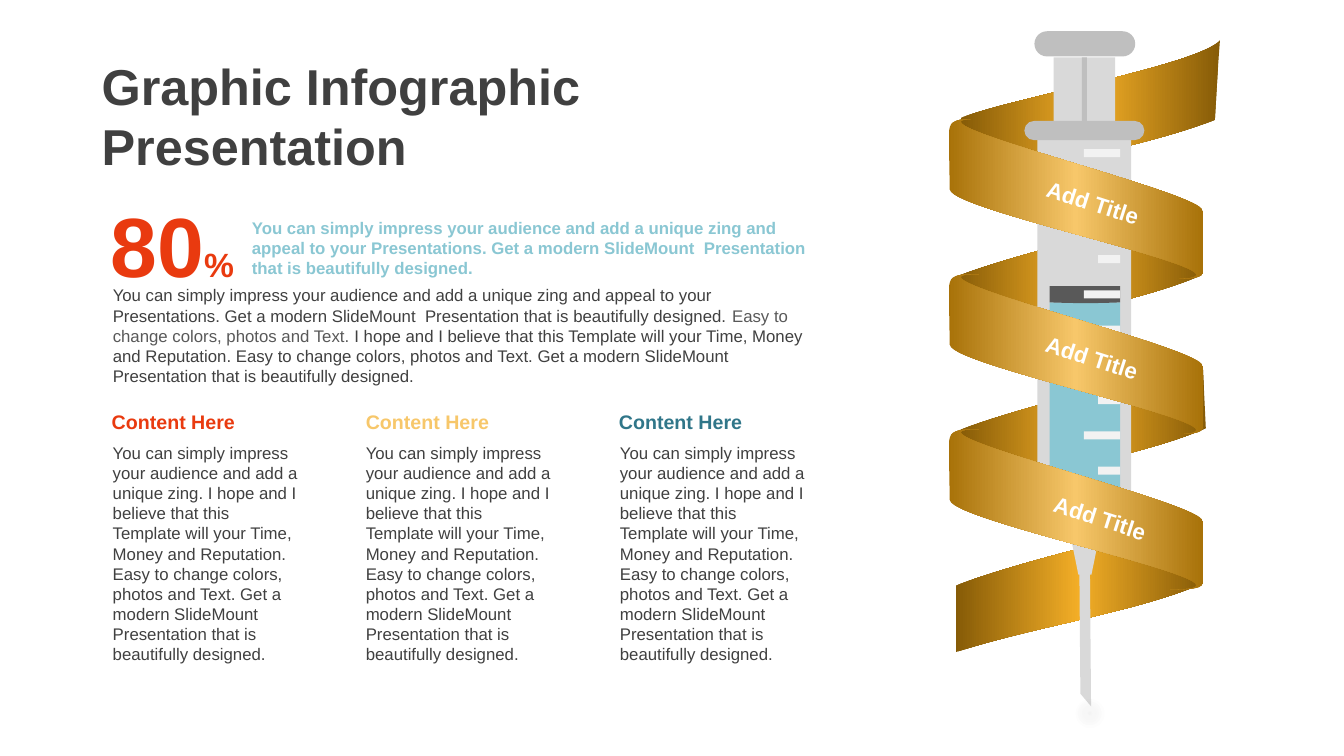
from pptx import Presentation
from pptx.dml.color import RGBColor
from pptx.enum.shapes import MSO_SHAPE
from pptx.enum.text import MSO_ANCHOR, MSO_AUTO_SIZE, PP_ALIGN
from pptx.oxml import parse_xml
from pptx.oxml.ns import nsdecls, qn
from pptx.util import Inches, Pt
from copy import deepcopy
from lxml import etree

WHITE = RGBColor(0xFF, 0xFF, 0xFF)
BLACK = RGBColor(0x00, 0x00, 0x00)
DARK = RGBColor(0x40, 0x40, 0x40)
GRAY = RGBColor(0x59, 0x59, 0x59)
SILVER = RGBColor(0xBF, 0xBF, 0xBF)
LIGHT = RGBColor(0xD9, 0xD9, 0xD9)
MARK = RGBColor(0xF2, 0xF2, 0xF2)
RED = RGBColor(0xE9, 0x3A, 0x0F)
AQUA = RGBColor(0x8A, 0xC7, 0xD3)
TEAL = RGBColor(0x30, 0x76, 0x89)
GOLD = RGBColor(0xF7, 0xC7, 0x6A)
BRONZE = RGBColor(0xA8, 0x72, 0x09)
AMBER = RGBColor(0xF3, 0xAE, 0x27)
BROWN = RGBColor(0x86, 0x5B, 0x07)

prs = Presentation()
prs.slide_width, prs.slide_height = Inches(13.33), Inches(7.5)
s = prs.slides.add_slide(prs.slide_layouts[6])


def add_outline(box, start, segments, edge, middle=None, dx=0, dy=0):
    left, top, right, bottom = box
    fb = s.shapes.build_freeform(Inches(left + dx), Inches(top + dy))
    fb.add_line_segments([(Inches(right + dx), Inches(top + dy)),
                          (Inches(right + dx), Inches(bottom + dy))], close=True)
    sp = fb.convert_to_shape()
    outline = next(sp._element.iter(qn("a:path")))
    for child in list(outline):
        outline.remove(child)
    for i, seg in enumerate([start, *segments]):
        tag = "a:moveTo" if i == 0 else "a:lnTo" if len(seg) == 2 else "a:cubicBezTo"
        step = etree.SubElement(outline, qn(tag))
        for x, y in zip(seg[::2], seg[1::2]):
            etree.SubElement(step, qn("a:pt"), x=str(Inches(x - left)), y=str(Inches(y - top)))
    etree.SubElement(outline, qn("a:close"))
    sp.shadow.inherit = False
    sp.line.fill.background()
    if middle is None:
        sp.fill.solid()
        sp.fill.fore_color.rgb = edge
        return
    sp.fill.gradient()
    sp.fill.gradient_angle = 0
    stops = next(sp._element.iter(qn("a:gsLst")))
    stops.insert(1, deepcopy(stops[0]))
    for stop, pos, color in zip(sp.fill.gradient_stops, (0, 0.5, 1), (edge, middle, edge)):
        stop.position = pos
        stop.color.rgb = color


def add_text(x, y, w, h, paragraphs, bold=False, align=PP_ALIGN.LEFT,
             anchor=MSO_ANCHOR.TOP, grow=True):
    box = s.shapes.add_textbox(Inches(x), Inches(y), Inches(w), Inches(h))
    tf = box.text_frame
    tf.word_wrap = True
    tf.vertical_anchor = anchor
    tf.auto_size = MSO_AUTO_SIZE.SHAPE_TO_FIT_TEXT if grow else MSO_AUTO_SIZE.NONE
    for i, runs in enumerate(paragraphs):
        p = tf.add_paragraph() if i else tf.paragraphs[0]
        p.alignment = align
        for text, size, color in runs:
            r = p.add_run()
            r.text = text
            r.font.name = "Arial"
            r.font.size = Pt(size)
            r.font.bold = bold
            r.font.color.rgb = color
    return box


back_ribbon = [(11.24, 6.08, 10.27, 6.21, 9.48, 6.47), (9.48, 5.81),
               (10.03, 5.6, 11.18, 5.31, 11.9, 5.17)]
top_ribbon = [(11.24, 1.49, 10.38, 1.6, 9.53, 1.83), (9.53, 1.17),
              (10.08, 0.96, 11.88, 0.65, 12.1, 0.4),
              (12.08, 0.65, 12.07, 0.85, 12.05, 1.19)]
add_outline((9.53, 0.4, 12.1, 1.83), (12.05, 1.19), top_ribbon, BROWN, AMBER)
for dx, dy in [(0, 0), (0.03, -1.54), (-0.01, -3.06)]:
    add_outline((9.48, 5.17, 11.93, 6.47), (11.93, 5.79), back_ribbon, BROWN, AMBER, dx, dy)

for left, top, right, bottom, low, c1, c2, color in [
    (10.29, 1.39, 11.22, 5.08, 5.18, (10.85, 5.2), (10.66, 5.22), LIGHT),
    (10.41, 3, 11.11, 4.93, 4.97, (10.87, 4.99), (10.68, 4.99), AQUA),
    (10.41, 2.84, 11.11, 3, 3.01, (10.87, 3.01), (10.68, 3.01), GRAY),
]:
    add_outline((left, top, right, low), (left, top),
                [(right, top), (right, bottom), (*c1, *c2, left, bottom)], color)

parts = [
    (MSO_SHAPE.DIAGONAL_STRIPE, 10.32, 5.63, 0.99, 1.2, LIGHT, 320, 0.863),
    (MSO_SHAPE.ROUNDED_RECTANGLE, 10.26, 0.31, 1, 0.25, SILVER, 0, 0.5),
    (MSO_SHAPE.RECTANGLE, 10.45, 0.57, 0.61, 0.68, LIGHT, 0, None),
    (MSO_SHAPE.RECTANGLE, 10.63, 5.15, 0.26, 0.25, LIGHT, 0, None),
    (MSO_SHAPE.TRAPEZOID, 10.63, 5.38, 0.26, 0.32, LIGHT, 180, None),
    (MSO_SHAPE.ROUNDED_RECTANGLE, 10.16, 1.2, 1.19, 0.19, SILVER, 0, 0.5),
    (MSO_SHAPE.RECTANGLE, 10.73, 0.57, 0.05, 0.68, SILVER, 0, None),
]
for i in range(10):
    w = 0.22 if i % 2 else 0.36
    parts.append((MSO_SHAPE.RECTANGLE, 11.11 - w, 1.48 + 0.35 * i, w, 0.08, MARK, 0, None))
for kind, x, y, w, h, color, rotation, adj in parts:
    sp = s.shapes.add_shape(kind, Inches(x), Inches(y), Inches(w), Inches(h))
    sp.shadow.inherit = False
    sp.fill.solid()
    sp.fill.fore_color.rgb = color
    sp.line.fill.background()
    sp.rotation = rotation
    if adj is not None:
        sp.adjustments[0] = adj

for x, y, w, h in [(10.21, 6.87, 1.2, 0.42), (10.31, 6.9, 0.99, 0.35)]:
    sp = s.shapes.add_shape(MSO_SHAPE.OVAL, Inches(x), Inches(y), Inches(w), Inches(h))
    sp.shadow.inherit = False
    sp.line.fill.background()
    stops = "".join(
        f'<a:gs pos="{pos}"><a:srgbClr val="{BLACK}"><a:alpha val="{alpha}"/></a:srgbClr></a:gs>'
        for pos, alpha in [(0, 2000), (25000, 0), (100000, 0)])
    sp._element.spPr.find(qn("a:prstGeom")).addnext(parse_xml(
        f'<a:gradFill {nsdecls("a")}><a:gsLst>{stops}</a:gsLst><a:path path="circle">'
        '<a:fillToRect l="50000" t="50000" r="50000" b="50000"/></a:path></a:gradFill>'))

title = add_text(0.91, 0.51, 4.96, 1.38,
                 [[("Graphic Infographic", 36, DARK)], [("Presentation", 36, DARK)]],
                 bold=True, anchor=MSO_ANCHOR.MIDDLE, grow=False)
for p in title.text_frame.paragraphs:
    p.line_spacing = 0.8
title.text_frame.paragraphs[1].space_before = Pt(8)

front_ribbon = [(8.75, 1.16, 11.93, 1.91, 11.93, 2.09), (11.93, 2.64),
                (11.92, 2.7, 12.03, 2.77, 11.6, 2.77),
                (12.82, 2.77, 9.44, 2.1, 9.42, 1.88), (9.41, 1.31),
                (9.43, 1.24, 9.4, 1.17, 9.71, 1.18)]
for dy in (3.08, 0, 1.54):
    add_outline((9.41, 1.18, 11.93, 2.77), (9.71, 1.18), front_ribbon, BRONZE, GOLD, dy=dy)
for x, y in [(9.92, 1.77), (9.91, 3.31), (9.99, 4.9)]:
    label = add_text(x, y, 1.5, 0.37, [[("Add Title", 16, WHITE)]],
                     bold=True, align=PP_ALIGN.RIGHT)
    label.rotation = 17.9

impress = "You can simply impress your audience and add a unique zing"
modern = "Get a modern SlideMount  Presentation that is beautifully designed."
appeal = f"{impress} and appeal to your Presentations. {modern}"
easy = "Easy to change colors, photos and Text. "
hope = "I hope and I believe that this Template will your Time, Money and Reputation. "

add_text(0.99, 1.86, 1.44, 1.11, [[("80", 60, RED), ("%", 24, RED)]],
         bold=True, align=PP_ALIGN.CENTER, anchor=MSO_ANCHOR.MIDDLE)
add_text(2.4, 2.11, 5.73, 0.71, [[(appeal, 12, AQUA)]], bold=True)
for x, body_x, color in [(1.01, 1.02, RED), (3.53, 3.53, GOLD), (6.04, 6.05, TEAL)]:
    add_text(x, 4.01, 2.04, 0.34, [[("Content Here", 14, color)]],
             bold=True, anchor=MSO_ANCHOR.MIDDLE)
    add_text(body_x, 4.34, 2.04, 2.32, [[(f"{impress}. {hope}{easy}{modern}", 12, DARK)]])
add_text(1.02, 2.78, 7.11, 1.11,
         [[(appeal + " ", 12, DARK), (easy, 12, GRAY), (hope + easy + modern, 12, DARK)]])

prs.save("out.pptx")
